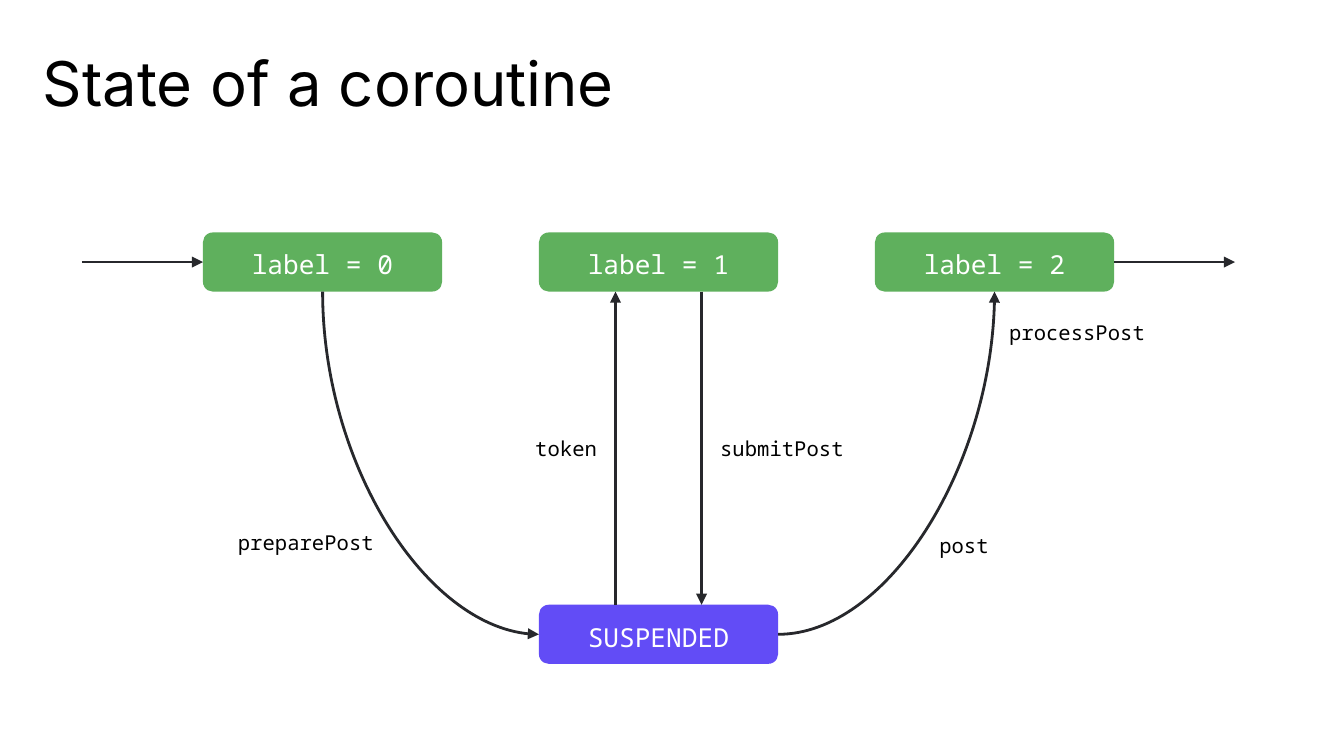
from pptx import Presentation
from pptx.dml.color import RGBColor
from pptx.enum.shapes import MSO_CONNECTOR, MSO_SHAPE
from pptx.enum.text import MSO_ANCHOR, PP_ALIGN
from pptx.oxml.ns import qn
from pptx.util import Inches, Pt
from lxml import etree

STRAIGHT, CURVE = MSO_CONNECTOR.STRAIGHT, MSO_CONNECTOR.CURVE
LEFT, CENTER, RIGHT = PP_ALIGN.LEFT, PP_ALIGN.CENTER, PP_ALIGN.RIGHT
ROUNDED, MIDDLE = MSO_SHAPE.ROUNDED_RECTANGLE, MSO_ANCHOR.MIDDLE
GREEN, VIOLET, INK, BLACK, WHITE = "5FB05D", "624CF6", "27282C", "000000", "FFFFFF"
MONO = "Noto Sans Mono"

# Slide in 16:9 and grid of states
SLIDE_W = 10
SLIDE_H = SLIDE_W * 9 / 16
STATE_W, STATE_H = 1.78, 0.44
COLUMNS = [1.51 + 2.5 * i for i in range(3)]
ROWS = [1.73, 4.5]
CALL_W, CALL_H = 1.25, 0.39

TITLE = "State of a coroutine"
STATES = [  # text, column, row, fill
    ("label = 0", 0, 0, GREEN),
    ("label = 1", 1, 0, GREEN),
    ("label = 2", 2, 0, GREEN),
    ("SUSPENDED", 1, 1, VIOLET),
]
CALLS = [  # text, left, top, alignment
    ("processPost", 7.41, 2.29, LEFT),
    ("post", 6.89, 3.87, LEFT),
    ("submitPost", 5.26, 3.15, LEFT),
    ("token", 3.29, 3.15, RIGHT),
    ("preparePost", 1.63, 3.85, RIGHT),
]


def rgb(color):
    return RGBColor.from_string(color)


def write(shape, text, font, size, color, align, spacing=None):
    frame = shape.text_frame
    frame.word_wrap = True
    frame.margin_left = frame.margin_right = Inches(0.1)
    frame.margin_top = frame.margin_bottom = Inches(0.1)
    frame.text = text
    paragraph = frame.paragraphs[0]
    paragraph.alignment = align
    paragraph.line_spacing = spacing
    run_font = paragraph.runs[0].font
    run_font.name, run_font.size = font, Pt(size)
    run_font.color.rgb = rgb(color)
    return frame


def add_text(left, top, width, height, *style):
    box = slide.shapes.add_textbox(*map(Inches, (left, top, width, height)))
    return write(box, *style)


def add_state(text, column, row, fill):
    state = slide.shapes.add_shape(
        ROUNDED, *map(Inches, (COLUMNS[column], ROWS[row], STATE_W, STATE_H)))
    state.shadow.inherit = False
    state.fill.solid()
    state.fill.fore_color.rgb = rgb(fill)
    state.line.fill.background()
    frame = write(state, text, MONO, 14, WHITE, CENTER, 1.15)
    frame.vertical_anchor = MIDDLE


def add_arrow(start, end, kind=STRAIGHT):
    arrow = slide.shapes.add_connector(kind, *map(Inches, (*start, *end)))
    arrow.line.color.rgb = rgb(INK)
    arrow.line.width = Pt(1.5)
    properties = arrow._element.spPr
    etree.SubElement(properties.find(qn("a:ln")), qn("a:tailEnd"), type="triangle")
    etree.SubElement(properties, qn("a:effectLst"))
    if kind == CURVE:
        properties.find(qn("a:prstGeom")).set("prst", "curvedConnector2")
    return arrow


def add_descending_curve(start, end):
    """Quarter curve leaving downwards: a sideways one turned about its centre."""
    (x1, y1), (x2, y2) = start, end
    center_x, center_y = (x1 + x2) / 2, (y1 + y2) / 2
    half_w, half_h = (y2 - y1) / 2, (x2 - x1) / 2
    arrow = add_arrow((center_x + half_w, center_y - half_h),
                      (center_x - half_w, center_y + half_h), CURVE)
    arrow.rotation = 270


prs = Presentation()
prs.slide_width, prs.slide_height = Inches(SLIDE_W), Inches(SLIDE_H)
slide = prs.slides.add_slide(prs.slide_layouts[6])

title = add_text(0.32, 0.32, 9.3, 0.5, TITLE, "Inter", 33, BLACK, LEFT, 0.85)
title.margin_left = title.margin_right = 0

for state in STATES:
    add_state(*state)

first, middle, last = (left + STATE_W / 2 for left in COLUMNS)
label_y, suspended_y = (top + STATE_H / 2 for top in ROWS)
label_bottom, suspended_top = ROWS[0] + STATE_H, ROWS[1]
outer, offset = 0.9, 0.32
entry, leaving = COLUMNS[0], COLUMNS[2] + STATE_W

add_arrow((COLUMNS[1] + STATE_W, suspended_y), (last, label_bottom), CURVE)
add_descending_curve((first, label_bottom), (COLUMNS[1], suspended_y))
add_arrow((entry - outer, label_y), (entry, label_y))
add_arrow((leaving, label_y), (leaving + outer, label_y))
add_arrow((middle - offset, suspended_top), (middle - offset, label_bottom))
add_arrow((middle + offset, label_bottom), (middle + offset, suspended_top))

for text, left, top, align in CALLS:
    add_text(left, top, CALL_W, CALL_H, text, MONO, 11, BLACK, align)

prs.save("out.pptx")
